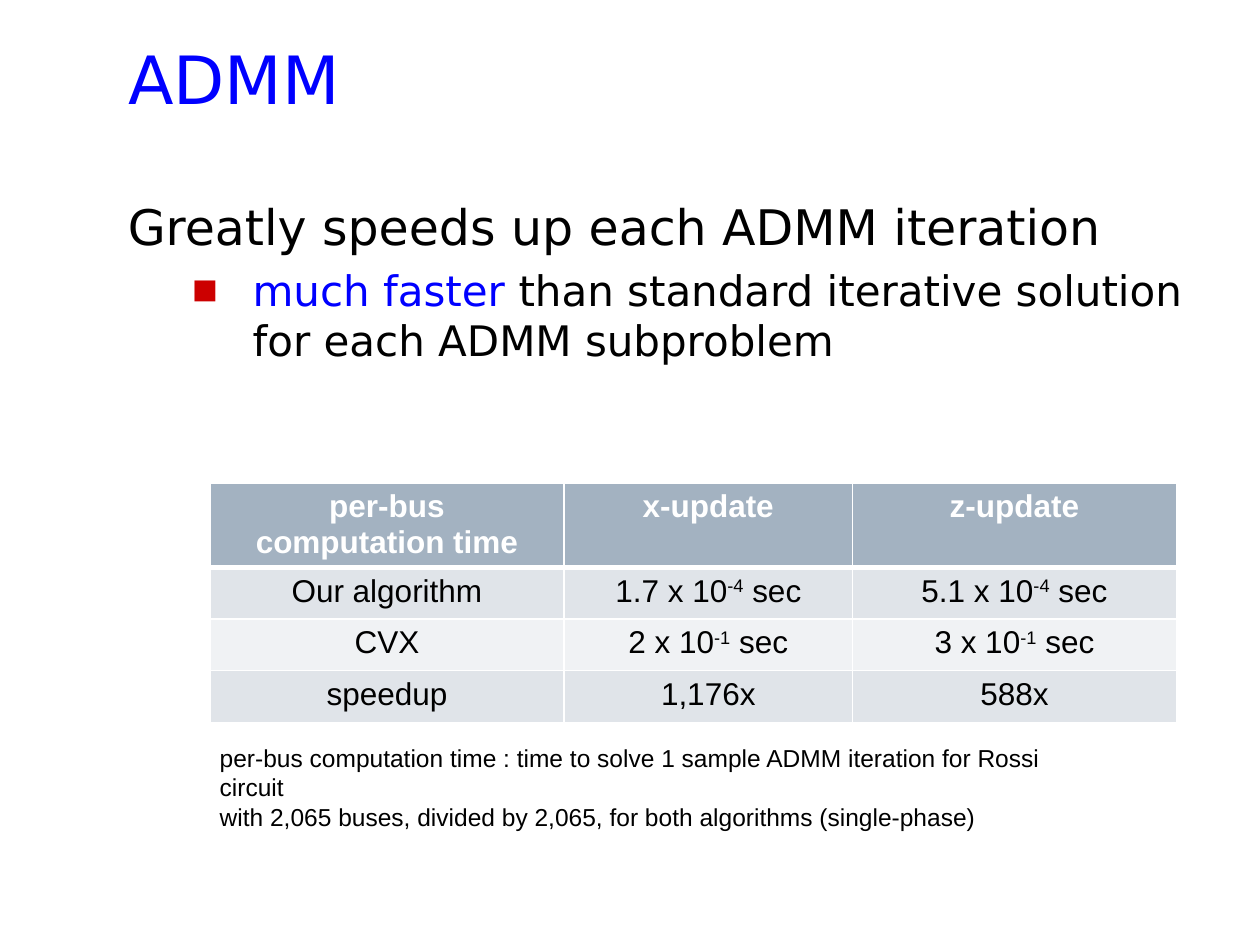
from lxml import etree
from pptx import Presentation
from pptx import util as u
from pptx.dml.color import RGBColor
from pptx.enum import text
from pptx.oxml.ns import qn

BLUE = RGBColor(0x00, 0x00, 0xFF)
BLACK = RGBColor(0x00, 0x00, 0x00)
WHITE = RGBColor(0xFF, 0xFF, 0xFF)
RED = RGBColor(0xCC, 0x00, 0x00)
HEADER = RGBColor(0xA3, 0xB2, 0xC1)
BAND_DARK = RGBColor(0xE0, 0xE4, 0xE9)
BAND_LIGHT = RGBColor(0xF0, 0xF2, 0xF4)
DISPLAY, PLAIN = "DejaVu Sans", "Arial"
COLS, ROWS = 120, 90  # grid of the slide, twelve units to the inch


class Deck:
    def __init__(self):
        self.prs = Presentation()
        self.prs.slide_width, self.prs.slide_height = u.Inches(10), u.Inches(7.5)
        self.s = self.prs.slides.add_slide(self.prs.slide_layouts[5])

    def box(self, col, row, cols, rows):
        """Turn grid units into left, top, width and height."""
        w, h = self.prs.slide_width / COLS, self.prs.slide_height / ROWS
        return [round(n) for n in (col * w, row * h, cols * w, rows * h)]

    def run(self, p, words, size, color, font=PLAIN, bold=False, raised=False):
        r = p.add_run()
        r.text = words
        r.font.size, r.font.name, r.font.bold = u.Pt(size), font, bold
        r.font.color.rgb = color
        if raised:
            r.font._element.set("baseline", "30000")

    def title(self, words, *place):
        sp = self.s.shapes.title
        sp.left, sp.top, sp.width, sp.height = self.box(*place)
        sp.fill.solid()
        sp.fill.fore_color.rgb = WHITE
        tf = sp.text_frame
        tf.vertical_anchor = text.MSO_ANCHOR.TOP
        tf.auto_size = text.MSO_AUTO_SIZE.NONE
        p = tf.paragraphs[0]
        p.alignment = text.PP_ALIGN.LEFT
        self.run(p, words, 38, BLUE, DISPLAY)

    def text_box(self, paragraphs, *place, font=PLAIN, inset=0.05):
        """Each paragraph is a list of (words, size, color); return the paragraphs."""
        tf = self.s.shapes.add_textbox(*self.box(*place)).text_frame
        tf.word_wrap = True
        tf.margin_top = u.Inches(inset)
        for i, runs in enumerate(paragraphs):
            p = tf.add_paragraph() if i else tf.paragraphs[0]
            for words, size, color in runs:
                self.run(p, words, size, color, font)
        return tf.paragraphs

    def bullet(self, p, char, color, margin, hang):
        pPr = p._p.get_or_add_pPr()
        pPr.set("marL", str(u.Inches(margin)))
        pPr.set("indent", str(-u.Inches(hang)))
        clr = etree.SubElement(pPr, qn("a:buClr"))
        etree.SubElement(clr, qn("a:srgbClr"), val=str(color))
        etree.SubElement(pPr, qn("a:buSzPct"), val="65000")
        etree.SubElement(pPr, qn("a:buFont"), typeface=DISPLAY)
        etree.SubElement(pPr, qn("a:buChar"), char=char)

    def borders(self, cell, bottom):
        tcPr = cell._tc.get_or_add_tcPr()
        for i, (side, width) in enumerate((("L", 1), ("R", 1), ("T", 1), ("B", bottom))):
            ln = etree.Element(qn(f"a:ln{side}"), w=str(u.Pt(width)))
            fill = etree.SubElement(ln, qn("a:solidFill"))
            etree.SubElement(fill, qn("a:srgbClr"), val=str(WHITE))
            tcPr.insert(i, ln)

    def cell(self, cell, lines, fill, color, header):
        """Each line is a list of strings; every second one is a superscript."""
        cell.fill.solid()
        cell.fill.fore_color.rgb = fill
        cell.margin_top = u.Inches(0.05)
        cell.margin_bottom = u.Inches(0.02 if header else 0.05)
        tf = cell.text_frame
        for i, parts in enumerate(lines):
            p = tf.add_paragraph() if i else tf.paragraphs[0]
            p.alignment = text.PP_ALIGN.CENTER
            for j, words in enumerate(parts):
                self.run(p, words, 18, color, bold=header, raised=j % 2 == 1)
        self.borders(cell, 3 if header else 1)

    def table(self, data, widths, heights, *place):
        table = self.s.shapes.add_table(len(data), len(widths), *self.box(*place)).table
        for column, width in zip(table.columns, widths):
            column.width = u.Inches(width)
        for i, (row, height) in enumerate(zip(data, heights)):
            table.rows[i].height = u.Inches(height)
            header = i == 0
            fill = HEADER if header else BAND_DARK if i % 2 else BAND_LIGHT
            for j, lines in enumerate(row):
                self.cell(table.cell(i, j), lines, fill, WHITE if header else BLACK, header)


def seconds(factor, exponent):
    return [[f"{factor} x 10", exponent, " sec"]]


def main():
    deck = Deck()
    deck.title("ADMM", 11, 3, 106, 11)
    _, detail = deck.text_box([
        [("Greatly speeds up each ADMM iteration", 28, BLACK)],
        [("much faster ", 24, BLUE),
         ("than standard iterative solution for each ADMM subproblem", 24, BLACK)],
    ], 11, 15, 108, 40, font=DISPLAY, inset=0.31)
    deck.bullet(detail, "■", RED, 0.99, 0.48)
    detail.space_before = u.Pt(5)

    deck.table([
        [[["per-bus"], ["computation time"]], [["x-update"]], [["z-update"]]],
        [[["Our algorithm"]], seconds("1.7", "-4"), seconds("5.1", "-4")],
        [[["CVX"]], seconds("2", "-1"), seconds("3", "-1")],
        [[["speedup"]], [["1,176x"]], [["588x"]]],
    ], [2.81, 2.29, 2.57], [0.63] + [0.41] * 3, 20, 46, 92, 22.5)

    deck.text_box([
        [("per-bus computation time : time to solve 1 sample ADMM iteration "
          "for Rossi circuit", 14, BLACK)],
        [("with 2,065 buses, divided by 2,065, for both algorithms (single-phase)",
          14, BLACK)],
    ], 19.75, 70.15, 85, 7)
    deck.prs.save("out.pptx")


if __name__ == "__main__":
    main()
